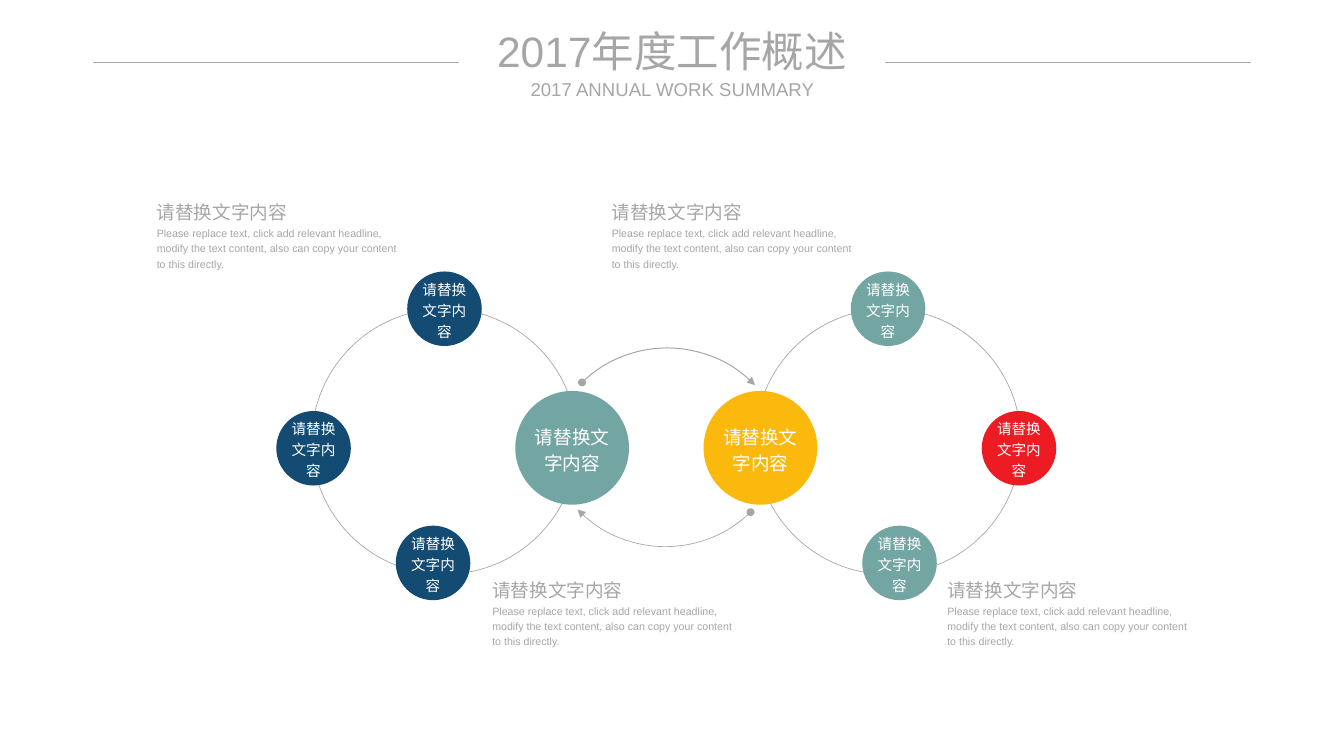
from pptx import Presentation
from pptx.dml.color import RGBColor
from pptx.enum.shapes import MSO_CONNECTOR, MSO_SHAPE
from pptx.enum.text import MSO_ANCHOR, MSO_AUTO_SIZE, PP_ALIGN
from pptx.oxml.ns import qn
from pptx.oxml.xmlchemy import OxmlElement
from pptx.util import Inches, Pt

GREY = RGBColor(0xA6, 0xA6, 0xA6)
WHITE = RGBColor(0xFF, 0xFF, 0xFF)
TEAL = RGBColor(0x73, 0xA6, 0xA3)
NAVY = RGBColor(0x13, 0x4B, 0x73)
YELLOW = RGBColor(0xFB, 0xB8, 0x0D)
RED = RGBColor(0xED, 0x1C, 0x24)

FONT = "Arial"
LABEL = "请替换文字内容"
DETAIL = ("Please replace text, click add relevant headline, modify the text "
          "content, also can copy your content to this directly.")

SLIDE_WIDTH = 14.06
MIRROR_WIDTH = 13.94  # left edge + right edge of a mirrored pair
RING_SIZE, HUB_SIZE, NODE_SIZE, ARC_SIZE = 2.78, 1.19, 0.78, 2.56
# left, top, colour in the left ring, colour in the right ring
NODES = [(2.89, 4.3, NAVY, RED), (4.26, 2.84, NAVY, TEAL), (4.14, 5.5, NAVY, TEAL)]
CAPTION_ROWS = [(1.64, 2.06), (5.15, 6.01)]
CAPTION_STEP = 4.76


def write(shape, text, size, color, align=PP_ALIGN.LEFT,
          anchor=MSO_ANCHOR.TOP, spacing=1.2, wrap=True):
    frame = shape.text_frame
    frame.margin_left = frame.margin_right = 0
    frame.margin_top = frame.margin_bottom = 0
    frame.word_wrap = wrap
    frame.auto_size = MSO_AUTO_SIZE.NONE
    frame.vertical_anchor = anchor
    para = frame.paragraphs[0]
    para.alignment = align
    para.line_spacing = spacing
    span = para.add_run()
    span.text = text
    span.font.name = FONT
    span.font.size = Pt(size)
    span.font.color.rgb = color


def add_text(page, left, top, width, height, text, size, **style):
    box = page.shapes.add_textbox(Inches(left), Inches(top), Inches(width), Inches(height))
    write(box, text, size, GREY, **style)


def add_round(page, kind, left, top, size):
    shape = page.shapes.add_shape(kind, Inches(left), Inches(top), Inches(size), Inches(size))
    shape.shadow.inherit = False
    return shape


def outline(shape, weight):
    shape.fill.background()
    shape.line.color.rgb = GREY
    shape.line.width = Pt(weight)


def add_disc(page, left, top, size, color, text_size):
    disc = add_round(page, MSO_SHAPE.OVAL, left, top, size)
    disc.fill.solid()
    disc.fill.fore_color.rgb = color
    disc.line.fill.background()
    write(disc, LABEL, text_size, WHITE, PP_ALIGN.CENTER, MSO_ANCHOR.MIDDLE)


def add_cycle(page, hub_color, node_colors, mirrored):
    """Draw a ring with its hub and three nodes, on the left or mirrored."""
    def place(left, size):
        return MIRROR_WIDTH - left - size if mirrored else left

    ring = add_round(page, MSO_SHAPE.OVAL, place(3.26, RING_SIZE), 3.23, RING_SIZE)
    outline(ring, 0.5)
    add_disc(page, place(5.39, HUB_SIZE), 4.09, HUB_SIZE, hub_color, 14)
    for (left, top, *_), color in zip(NODES, node_colors):
        add_disc(page, place(left, NODE_SIZE), top, NODE_SIZE, color, 11)


def add_arc_arrow(page, left, top, rotation, weight):
    arc = add_round(page, MSO_SHAPE.ARC, left, top, ARC_SIZE)
    arc.rotation = rotation
    outline(arc, weight)
    line = arc._element.spPr.find(qn("a:ln"))
    for tag, kind in (("a:headEnd", "oval"), ("a:tailEnd", "triangle")):
        end = OxmlElement(tag)
        end.set("type", kind)
        line.append(end)


def add_caption(page, left, top):
    add_text(page, left, top + 0.29, 2.58, 0.48, DETAIL, 8)
    add_text(page, left, top, 1.37, 0.28, LABEL, 14, wrap=False)


def add_rule(page, left, right, top):
    rule = page.shapes.add_connector(
        MSO_CONNECTOR.STRAIGHT, Inches(left), Inches(top), Inches(right), Inches(top))
    rule.line.color.rgb = GREY
    rule.line.width = Pt(0.5)
    rule._element.spPr.append(OxmlElement("a:effectLst"))


def add_heading(page):
    title = page.shapes.title
    title.left, title.top = Inches(4.87), Inches(0.26)
    title.width, title.height = Inches(4.32), Inches(0.54)
    centred = {"align": PP_ALIGN.CENTER, "anchor": MSO_ANCHOR.MIDDLE, "spacing": 1.0}
    write(title, "2017年度工作概述", 32, GREY, **centred)
    add_text(page, 5.5, 0.81, 3.07, 0.24, "2017 ANNUAL WORK SUMMARY", 14, **centred)
    add_rule(page, 0.97, 4.8, 0.65)
    add_rule(page, SLIDE_WIDTH - 4.8, SLIDE_WIDTH - 0.97, 0.65)


def main():
    deck = Presentation()
    deck.slide_width, deck.slide_height = Inches(SLIDE_WIDTH), Inches(7.91)
    page = deck.slides.add_slide(deck.slide_layouts[5])
    add_heading(page)
    add_cycle(page, TEAL, [node[2] for node in NODES], mirrored=False)
    add_cycle(page, YELLOW, [node[3] for node in NODES], mirrored=True)
    add_arc_arrow(page, 5.7, 3.64, 315.9, 0.75)
    add_arc_arrow(page, 5.68, 3.16, 135.9, 0.5)
    for left, top in CAPTION_ROWS:
        for column in range(2):
            add_caption(page, left + column * CAPTION_STEP, top)
    deck.save("out.pptx")


if __name__ == "__main__":
    main()
